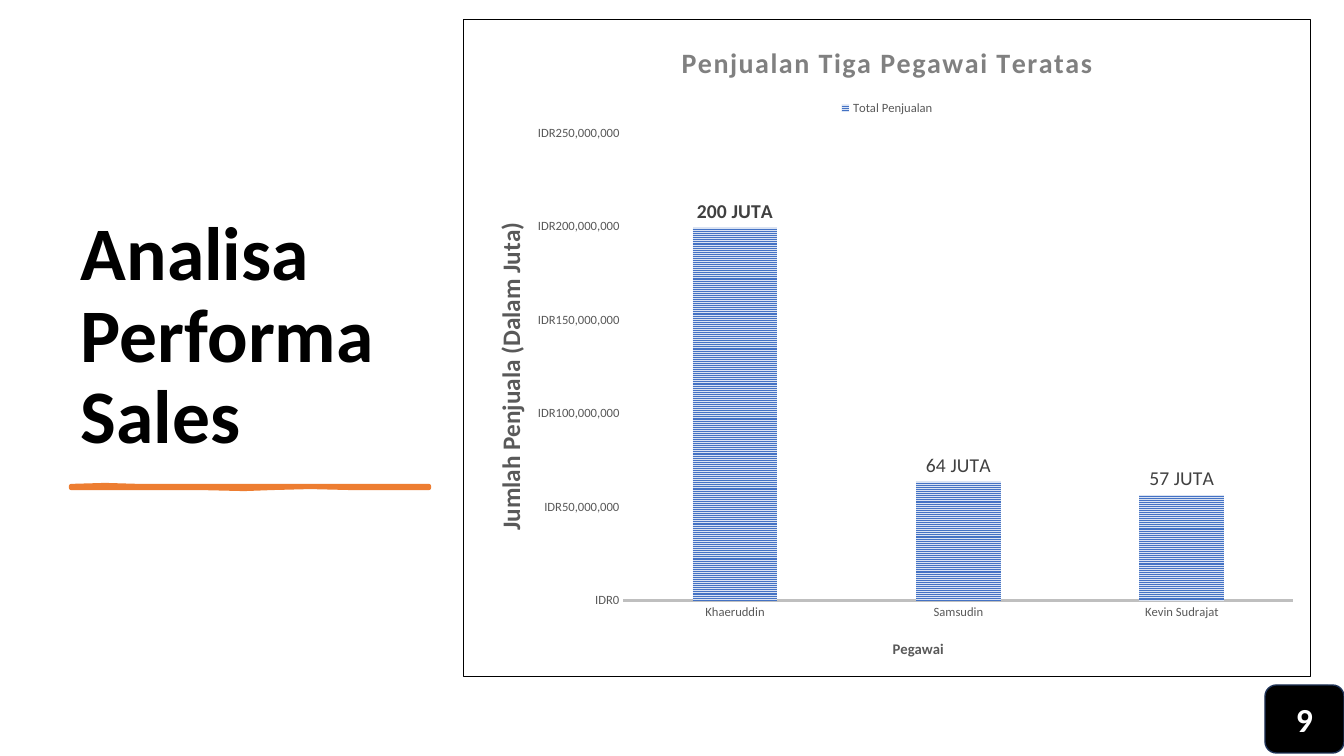
from lxml import etree
from pptx import Presentation
from pptx.chart.data import CategoryChartData
from pptx.dml.color import RGBColor
from pptx.enum.chart import XL_CHART_TYPE, XL_LABEL_POSITION, XL_LEGEND_POSITION, XL_TICK_MARK
from pptx.enum.dml import MSO_PATTERN
from pptx.enum.shapes import MSO_SHAPE
from pptx.enum.text import MSO_ANCHOR, PP_ALIGN
from pptx.oxml.ns import qn
from pptx.util import Pt

PX = 914400 / 100.8
FONT = "Calibri"
BLACK = RGBColor(0x00, 0x00, 0x00)
WHITE = RGBColor(0xFF, 0xFF, 0xFF)
ORANGE = RGBColor(0xED, 0x7D, 0x31)
BLUE = RGBColor(0x44, 0x72, 0xC4)
PALE_BLUE = RGBColor(0xDA, 0xE3, 0xF3)
NAVY = RGBColor(0x1E, 0x32, 0x56)
TITLE_GREY = RGBColor(0x80, 0x80, 0x80)
TEXT_GREY = RGBColor(0x59, 0x59, 0x59)
LABEL_GREY = RGBColor(0x40, 0x40, 0x40)
AXIS_GREY = RGBColor(0xBF, 0xBF, 0xBF)
COLUMN = XL_CHART_TYPE.COLUMN_CLUSTERED
OUTSIDE_END = XL_LABEL_POSITION.OUTSIDE_END
NO_TICK = XL_TICK_MARK.NONE
CHART_BOX = (463, 19, 848, 658)


def emu(*lengths):
    return [round(length * PX) for length in lengths]


def style(font, size, color, bold=False):
    values = {"name": FONT, "size": Pt(size), "bold": bold}
    for key, value in values.items():
        setattr(font, key, value)
    font.color.rgb = color


prs = Presentation()
prs.slide_width, prs.slide_height = emu(1344, 756)
slide = prs.slides.add_slide(prs.slide_layouts[6])

heading = slide.shapes.add_textbox(*emu(71, 71, 394, 394)).text_frame
heading.word_wrap = True
heading.vertical_anchor = MSO_ANCHOR.BOTTOM
heading.text = "Analisa Performa Sales"
heading.paragraphs[0].line_spacing = 0.9
style(heading.paragraphs[0].runs[0].font, 54, BLACK, True)

top_edge = [(71, 486), (105, 485), (139, 486), (211, 486), (286, 486), (362, 486), (429, 486)]
bottom_edge = [(429, 488), (351, 488), (310, 487), (272, 488), (244, 489), (201, 488), (139, 488), (71, 488)]
brush = slide.shapes.build_freeform(*top_edge[0], scale=PX)
brush.add_line_segments(top_edge[1:] + bottom_edge, close=True)
underline = brush.convert_to_shape()
underline.shadow.inherit = False
underline.fill.solid()
underline.fill.fore_color.rgb = ORANGE
underline.line.color.rgb = ORANGE
underline.line.width = Pt(3)

sales = CategoryChartData(number_format='"IDR"#,##0')
sales.categories = ["Khaeruddin", "Samsudin", "Kevin Sudrajat"]
sales.add_series("Total Penjualan", [199742500, 63780000, 56610000])
chart = slide.shapes.add_chart(COLUMN, *emu(*CHART_BOX), sales).chart
style(chart.font, 10, BLACK)

chart.has_legend = True
chart.legend.position = XL_LEGEND_POSITION.TOP
chart.legend.include_in_layout = False
style(chart.legend.font, 9, TEXT_GREY)

pegawai, penjualan = chart.category_axis, chart.value_axis
for holder, text, size, color in [
    (chart, "Penjualan Tiga Pegawai Teratas", 20, TITLE_GREY),
    (pegawai, "Pegawai", 10.5, TEXT_GREY),
    (penjualan, "Jumlah Penjuala (Dalam Juta)", 18, TEXT_GREY),
]:
    caption = (holder.chart_title if holder is chart else holder.axis_title).text_frame
    caption.text = text
    style(caption.paragraphs[0].runs[0].font, size, color, True)
chart.chart_title.text_frame.paragraphs[0].runs[0].font._element.set("spc", "100")

for axis in (pegawai, penjualan):
    axis.major_tick_mark = axis.minor_tick_mark = NO_TICK
    axis.has_major_gridlines = False
    style(axis.tick_labels.font, 9, TEXT_GREY)
pegawai.format.line.color.rgb = AXIS_GREY
pegawai.format.line.width = Pt(1.5)
penjualan.format.line.fill.background()
penjualan.minimum_scale, penjualan.maximum_scale = 0, 250000000
penjualan.major_unit = 50000000
penjualan.tick_labels.number_format = '"IDR"#,##0'
penjualan.tick_labels.number_format_is_linked = False

columns = chart.plots[0]
columns.gap_width, columns.overlap = 164, -22
columns.vary_by_categories = False
total = columns.series[0]
total.format.fill.patterned()
total.format.fill.pattern = MSO_PATTERN.NARROW_HORIZONTAL
total.format.fill.fore_color.rgb = BLUE
total.format.fill.back_color.rgb = PALE_BLUE
total.data_labels.show_value = True
total.data_labels.position = OUTSIDE_END
style(total.data_labels.font, 14, LABEL_GREY, True)
for index, amount in enumerate(["200 JUTA", "64 JUTA", "57 JUTA"]):
    label = total.points[index].data_label
    label.text_frame.text = amount
    label.position = OUTSIDE_END
    style(label.text_frame.paragraphs[0].runs[0].font, 14, LABEL_GREY, index == 0)

chart_space = chart._chartSpace
plot_area = chart_space.chart.plotArea
left, top, width, height = CHART_BOX
for parent, place in [
    (plot_area, {"x": (623 - left) / width, "y": (133 - top) / height, "w": 671 / width, "h": 468 / height}),
    (pegawai.axis_title._element, {"x": (890 - left) / width, "y": (637 - top) / height}),
    (penjualan.axis_title._element, {"x": (488 - left) / width, "y": (218 - top) / height}),
]:
    for old in parent.findall(qn("c:layout")):
        parent.remove(old)
    layout = etree.Element(qn("c:layout"))
    parent.insert(0 if parent is plot_area else 1, layout)
    manual = etree.SubElement(layout, qn("c:manualLayout"))
    if parent is plot_area:
        etree.SubElement(manual, qn("c:layoutTarget")).set("val", "inner")
    for key in "xy":
        etree.SubElement(manual, qn(f"c:{key}Mode")).set("val", "edge")
    for key, value in place.items():
        etree.SubElement(manual, qn(f"c:{key}")).set("val", f"{value:.4f}")

frame = etree.Element(qn("c:spPr"))
chart_space.chart.addnext(frame)
for parent, color in [(frame, WHITE), (etree.SubElement(frame, qn("a:ln"), w=str(Pt(0.75))), BLACK)]:
    fill = etree.Element(qn("a:solidFill"))
    parent.insert(0, fill)
    etree.SubElement(fill, qn("a:srgbClr")).set("val", str(color))

page = slide.shapes.add_group_shape()
badge = page.shapes.add_shape(MSO_SHAPE.ROUNDED_RECTANGLE, *emu(1265, 685, 79, 68))
badge.shadow.inherit = False
badge.fill.solid()
badge.fill.fore_color.rgb = BLACK
badge.line.color.rgb = NAVY
badge.line.width = Pt(1)
number = page.shapes.add_textbox(*emu(1286, 694, 36, 50)).text_frame
number.word_wrap = True
number.text = "9"
number.paragraphs[0].alignment = PP_ALIGN.CENTER
style(number.paragraphs[0].runs[0].font, 24, WHITE, True)

prs.save("out.pptx")
